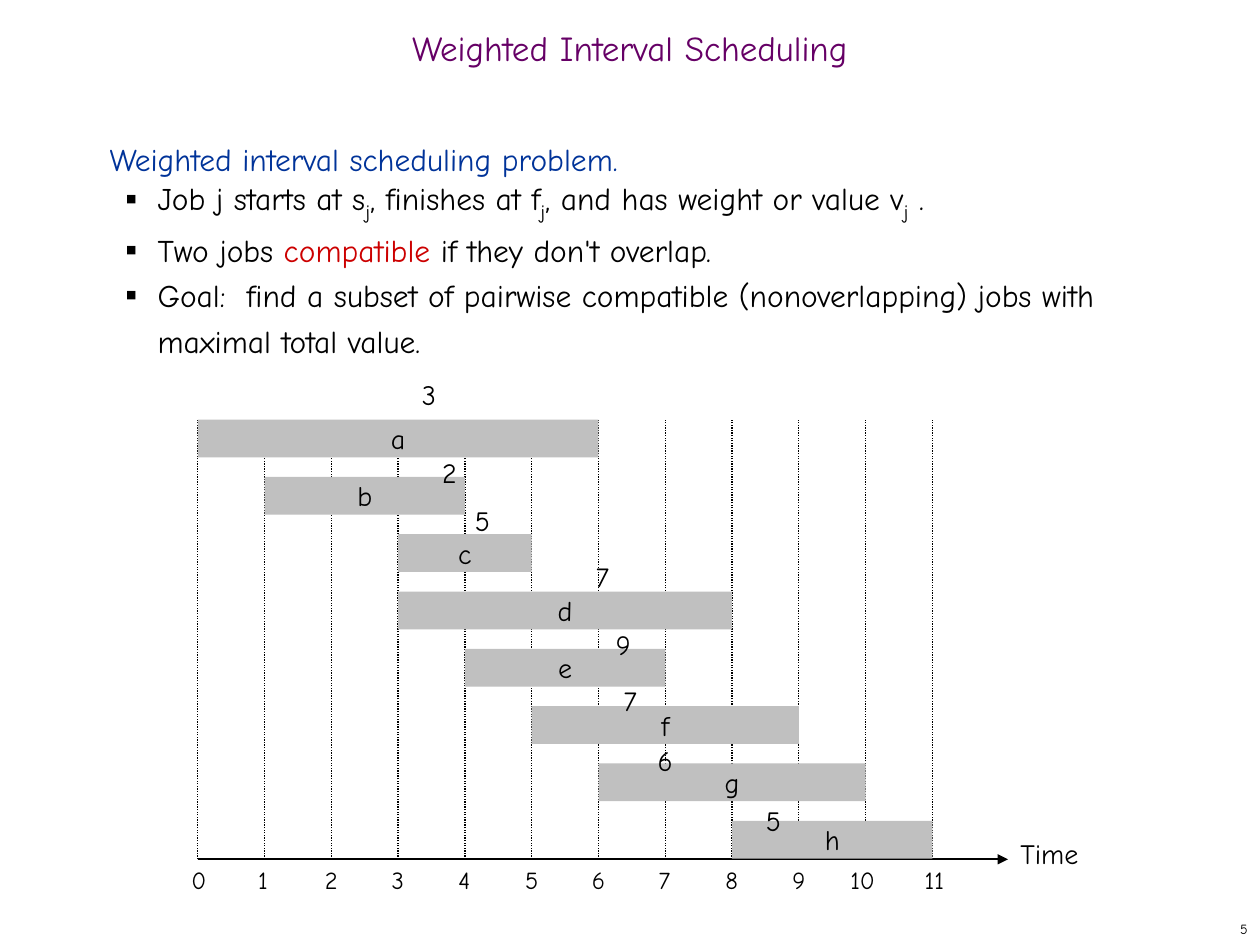
"""Build the weighted interval scheduling slide with its job timeline."""
from pptx import Presentation
from pptx.dml.color import RGBColor
from pptx.enum.dml import MSO_LINE
from pptx.enum.shapes import MSO_CONNECTOR, MSO_SHAPE
from pptx.enum.text import MSO_ANCHOR, MSO_AUTO_SIZE, PP_ALIGN
from pptx.oxml import parse_xml
from pptx.oxml.ns import nsdecls
from pptx.util import Inches, Pt

STRAIGHT, RECT = MSO_CONNECTOR.STRAIGHT, MSO_SHAPE.RECTANGLE
DOTTED = MSO_LINE.ROUND_DOT
LEFT, CENTER, RIGHT = PP_ALIGN.LEFT, PP_ALIGN.CENTER, PP_ALIGN.RIGHT
TOP, MIDDLE = MSO_ANCHOR.TOP, MSO_ANCHOR.MIDDLE
NO_FIT = MSO_AUTO_SIZE.NONE
BLACK = RGBColor(0x00, 0x00, 0x00)
PURPLE = RGBColor(0x66, 0x00, 0x66)
BLUE = RGBColor(0x00, 0x33, 0x99)
RED = RGBColor(0xCC, 0x00, 0x00)
GRAY = RGBColor(0xC0, 0xC0, 0xC0)
FONT = "Comic Neue"
X0, X_STEP = 1.57, 0.53
Y0, Y_STEP, BAR_H = 3.33, 0.455, 0.3
AXIS_Y, AXIS_END = 6.82, 8


def add_text(p, text, size=16, color=BLACK, align=LEFT, sub=False):
    p.alignment = align
    r = p.add_run()
    r.text = text
    r.font.name = FONT
    r.font.size = Pt(size)
    r.font.color.rgb = color
    if sub:
        r.font._element.set("baseline", "-25000")


def add_line(x1, y1, x2, y2, width):
    line = s.shapes.add_connector(
        STRAIGHT, Inches(x1), Inches(y1), Inches(x2), Inches(y2))
    line.line.color.rgb = BLACK
    line.line.width = Pt(width)
    line._element.spPr.append(parse_xml(f"<a:effectLst {nsdecls('a')}/>"))
    return line


prs = Presentation()
prs.slide_width, prs.slide_height = Inches(10), Inches(7.5)
s = prs.slides.add_slide(prs.slide_layouts[1])

title = s.shapes.title
title.left, title.top = Inches(0), Inches(0.17)
title.width, title.height = Inches(10), Inches(0.5)
tf = title.text_frame
tf.auto_size = NO_FIT
tf.vertical_anchor = MIDDLE
tf.paragraphs[0].line_spacing = 0.7
add_text(tf.paragraphs[0], "Weighted Interval Scheduling", size=20,
         color=PURPLE, align=CENTER)

body = s.placeholders[1]
body.left, body.top = Inches(0.77), Inches(1)
body.width, body.height = Inches(8.58), Inches(5.92)
tf = body.text_frame
tf.auto_size = NO_FIT
paragraphs = [
    [("Weighted interval scheduling problem.", {"color": BLUE})],
    [("Job j starts at s", {}), ("j", {"sub": True}),
     (", finishes at f", {}), ("j", {"sub": True}),
     (", and has weight or value v", {}), ("j", {"sub": True}), (" .", {})],
    [("Two jobs ", {}), ("compatible ", {"color": RED}),
     ("if they don't overlap.", {})],
    [("Goal:  find a subset of pairwise compatible (nonoverlapping) jobs "
      "with maximal total value.", {})],
]
for i, runs in enumerate(paragraphs):
    p = tf.add_paragraph() if i else tf.paragraphs[0]
    p.line_spacing = Pt(26)
    p.space_before = Pt(0)
    pPr = p._p.get_or_add_pPr()
    if i:
        p.level = 1
        pPr.set("marL", str(Inches(0.38)))
        pPr.set("indent", str(Inches(-0.25)))
        for xml in (f"<a:buClr {nsdecls('a')}><a:srgbClr val='{BLACK}'/></a:buClr>",
                    f"<a:buSzPct {nsdecls('a')} val='35000'/>",
                    f"<a:buFont {nsdecls('a')} typeface='{FONT}'/>",
                    f"<a:buChar {nsdecls('a')} char='■'/>"):
            pPr.append(parse_xml(xml))
    else:
        pPr.set("marL", "0")
        pPr.set("indent", "0")
        pPr.append(parse_xml(f"<a:buNone {nsdecls('a')}/>"))
    for text, style in runs:
        add_text(p, text, **{"size": 20 if "sub" in style else 18, **style})

axis = add_line(X0, AXIS_Y, AXIS_END, AXIS_Y, 1.25)
axis.line._get_or_add_ln().append(
    parse_xml(f"<a:tailEnd {nsdecls('a')} type='triangle'/>"))

for hour in range(12):
    x = X0 + hour * X_STEP
    add_line(x, AXIS_Y, x, Y0, 0.75).line.dash_style = DOTTED

jobs = [("a", 0, 6), ("b", 1, 4), ("c", 3, 5), ("d", 3, 8),
        ("e", 4, 7), ("f", 5, 9), ("g", 6, 10), ("h", 8, 11)]
for row, (name, start, finish) in enumerate(jobs):
    bar = s.shapes.add_shape(
        RECT, Inches(X0 + start * X_STEP), Inches(Y0 + row * Y_STEP),
        Inches((finish - start) * X_STEP), Inches(BAR_H))
    bar.shadow.inherit = False
    bar.fill.solid()
    bar.fill.fore_color.rgb = GRAY
    bar.line.fill.background()
    tf = bar.text_frame
    tf.word_wrap = False
    tf.vertical_anchor = MIDDLE
    add_text(tf.paragraphs[0], name, align=CENTER)

hour_shift = {10: -0.07, 11: -0.01}
labels = [(str(hour), X0 - 0.15 + hour * X_STEP + hour_shift.get(hour, 0),
           AXIS_Y, 0.46, 0.33, 14, True, LEFT, TOP) for hour in range(12)]
values = [("3", 3.25, 2.95), ("2", 3.41, 3.57), ("5", 3.67, 3.95),
          ("7", 4.63, 4.39), ("9", 4.79, 4.93), ("7", 4.85, 5.38),
          ("6", 5.12, 5.85), ("5", 5.98, 6.33)]
labels += [(value, x, y, 0.32, 0.37, 16, False, LEFT, TOP)
           for value, x, y in values]
labels += [("Time", AXIS_END, 6.59, 0.83, 0.37, 16, True, LEFT, TOP),
           ("5", 7.92, 7.25, 2.08, 0.25, 8, True, RIGHT, MIDDLE)]
for text, x, y, w, h, size, wrap, align, anchor in labels:
    box = s.shapes.add_textbox(Inches(x), Inches(y), Inches(w), Inches(h))
    tf = box.text_frame
    tf.word_wrap = wrap
    tf.vertical_anchor = anchor
    add_text(tf.paragraphs[0], text, size=size, align=align)

prs.save("out.pptx")
